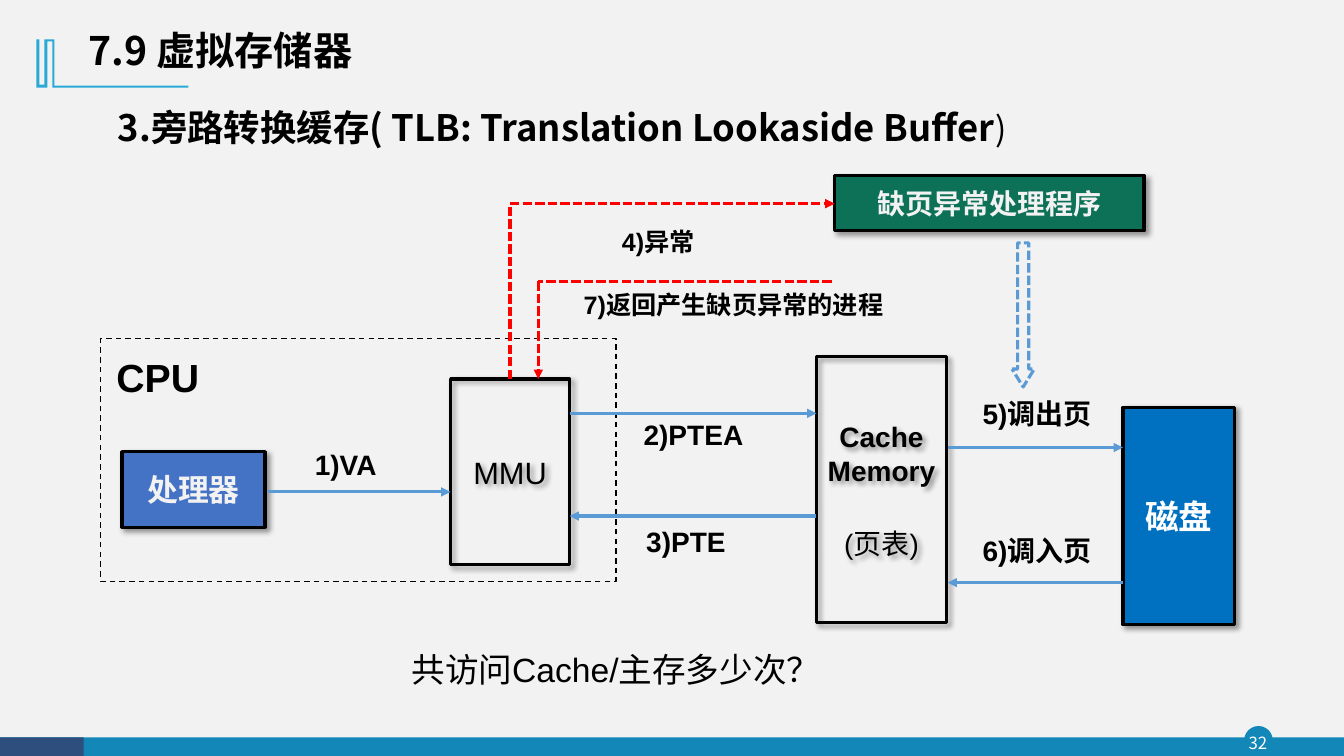
from lxml import etree
from pptx import Presentation
from pptx.dml.color import RGBColor
from pptx.enum.dml import MSO_LINE_DASH_STYLE as Dash
from pptx.enum.shapes import MSO_CONNECTOR_TYPE as Link, MSO_SHAPE as Shape
from pptx.enum.text import MSO_ANCHOR as Anchor, MSO_AUTO_SIZE as AutoSize, PP_ALIGN as Align
from pptx.oxml import parse_xml
from pptx.oxml.ns import nsdecls, qn
from pptx.util import Inches, Pt

COLORS = {
    "paper": "F2F2F2", "ink": "000000", "white": "FFFFFF",
    "teal": "1387B7", "navy": "2E4E7E", "sky": "28A9D6",
    "processor": "4472C4", "disk": "0070C0", "handler": "0D7157",
    "flow": "5B9BD5", "fault": "FF0000",
}
LATIN, HAN, HEADING = "Arial", "Noto Sans CJK SC", "Noto Sans CJK JP"
COLUMNS, ROWS = 133.33, 75
CELL = Inches(0.1)


def cells(*counts):
    return [round(count * CELL) for count in counts]


def color(name):
    return RGBColor.from_string(COLORS[name])


class Diagram:
    """Draws on one slide; places are columns and rows of the grid."""

    def __init__(self, slide):
        self.slide = slide
        self.shapes = slide.shapes
        slide.background.fill.solid()
        slide.background.fill.fore_color.rgb = color("paper")

    def run(self, paragraph, text, size=20, ink="ink", bold=True, latin=LATIN, han=HAN):
        run = paragraph.add_run()
        run.text = text
        font = run.font
        font.size, font.bold, font.name = Pt(size), bold, latin
        font.color.rgb = color(ink)
        etree.SubElement(run._r.get_or_add_rPr(), qn("a:ea"), typeface=han)

    def caption(self, frame, text, align=Align.CENTER, anchor=Anchor.TOP, inset=0, **style):
        """Puts one paragraph of text into a frame and returns it."""
        frame.word_wrap, frame.auto_size = True, AutoSize.NONE
        frame.vertical_anchor = anchor
        frame.margin_left = frame.margin_right = Inches(inset)
        frame.margin_top = frame.margin_bottom = Inches(inset / 2)
        paragraph = frame.paragraphs[0]
        paragraph.alignment = align
        self.run(paragraph, text, **style)
        return paragraph

    def title(self, text, place):
        title = self.shapes.title
        title.left, title.top, title.width, title.height = cells(*place)
        paragraph = self.caption(title.text_frame, text, Align.LEFT, Anchor.MIDDLE, 0.1,
                                 size=28, latin=HEADING, han=HEADING)
        paragraph.line_spacing = 0.9

    def label(self, text, place, **style):
        return self.caption(self.shapes.add_textbox(*cells(*place)).text_frame, text, **style)

    def paint(self, shape, fill=None, line=None, width=2.25, dash=None):
        shape.shadow.inherit = False
        if fill:
            shape.fill.solid()
            shape.fill.fore_color.rgb = color(fill)
        else:
            shape.fill.background()
        if line:
            self.stroke(shape.line, line, width, dash)
        else:
            shape.line.fill.background()

    def stroke(self, line, ink, width=2.25, dash=None):
        line.color.rgb = color(ink)
        line.width = Pt(width)
        if dash:
            line.dash_style = dash

    def block(self, place, kind=Shape.RECTANGLE, **look):
        block = self.shapes.add_shape(kind, *cells(*place))
        self.paint(block, **look)
        return block

    def unit(self, text, place, fill=None, **style):
        """Draws a hardware or software unit: outlined, shadowed, captioned."""
        unit = self.block(place, fill=fill, line="ink")
        effects = unit._element.spPr.find(qn("a:effectLst"))
        effects.append(parse_xml(
            f'<a:outerShdw {nsdecls("a")} blurRad="{Pt(4)}" dist="{Pt(3)}" dir="2700000" '
            f'algn="tl" rotWithShape="0"><a:srgbClr val="{COLORS["ink"]}">'
            '<a:alpha val="40000"/></a:srgbClr></a:outerShdw>'))
        self.caption(unit.text_frame, text, anchor=Anchor.MIDDLE, **style)
        return unit

    def route(self, *stops, ink="flow", dash=None):
        """Joins the stops with straight lines, with an arrowhead at the last."""
        for start, end in zip(stops, stops[1:]):
            leg = self.shapes.add_connector(Link.STRAIGHT, *cells(*start, *end))
            self.stroke(leg.line, ink, dash=dash)
            etree.SubElement(leg._element.spPr, qn("a:effectLst"))
        head = leg._element.spPr.find(qn("a:ln"))
        etree.SubElement(head, qn("a:tailEnd"), type="triangle")

    def outline(self, points, fill):
        start, *others = [cells(*point) for point in points]
        builder = self.shapes.build_freeform(*start)
        builder.add_line_segments(others, close=True)
        self.paint(builder.convert_to_shape(), fill=fill)


def draw_frame(diagram):
    diagram.block((123.5, 72.1, 2.7, 2.7), Shape.OVAL, fill="teal", line="teal", width=1)
    footer_top = 73.15
    for width, fill in ((COLUMNS, "teal"), (8.3, "navy")):
        diagram.block((0, footer_top, width, ROWS - footer_top), fill=fill)
    diagram.label("32", (123.2, 72.1, 3.2, 3.1), anchor=Anchor.MIDDLE,
                  size=12, ink="white", bold=False, latin=HAN)
    diagram.outline([(5.4, 3.9), (5.4, 8.5), (18.7, 8.5), (18.7, 8.7), (5.2, 8.7),
                     (5.2, 4.1), (4.7, 4.1), (4.7, 8.7), (3.6, 8.7), (3.6, 3.9),
                     (3.9, 3.9), (3.9, 8.4), (4.4, 8.4), (4.4, 3.9)], "sky")
    diagram.title("7.9 虚拟存储器", (7.8, 1.8, 55.6, 6.8))
    topic = diagram.label("3.旁路转换缓存( TLB: Translation Lookaside Buffer",
                          (10.7, 9.9, 103.4, 5.4), align=Align.LEFT, inset=0.1,
                          size=26, latin=HEADING, han=HEADING)
    diagram.run(topic, ")", size=24, bold=False, latin=HAN)


def draw_units(diagram):
    diagram.block((10, 33.6, 51.1, 24.1), line="ink", width=1, dash=Dash.DASH)
    diagram.label("CPU", (8.4, 35.1, 14.5, 4.3), size=28)
    diagram.unit("MMU", (44.7, 37.6, 11.8, 18.4), size=22, bold=False)
    diagram.unit("处理器", (12.1, 44.8, 14.2, 7.5), "processor", size=22, ink="paper")
    diagram.unit("磁盘", (111.4, 40.4, 11.1, 21.6), "disk", size=24, ink="white")
    diagram.unit("缺页异常处理程序", (82.8, 17.4, 30.7, 5.5), "handler", ink="paper")
    cache = diagram.unit("Cache", (81, 35.4, 12.9, 26.4)).text_frame
    for text, bold, gap in (("Memory", True, 0), ("(页表)", False, 28)):
        line = cache.add_paragraph()
        line.alignment, line.space_before = Align.CENTER, Pt(gap)
        diagram.run(line, text, bold=bold)


def draw_steps(diagram):
    mmu_right, cache_left, cache_right, disk_left = 56.5, 81, 94, 111.4
    for text, place, start, end, row in (
            ("1)VA", (29.6, 44.4, 9.4, 5.7), 26.6, 44.7, 48.8),
            ("2)PTEA", (63, 41.4, 11.6, 4), mmu_right, cache_left, 41),
            ("3)PTE", (63.8, 52, 8.5, 4), cache_left, mmu_right, 51.2),
            ("5)调出页", (95.2, 39.3, 15.4, 4), cache_right, disk_left, 44.4),
            ("6)调入页", (95.2, 52.9, 15.4, 4), disk_left, cache_right, 57.8)):
        diagram.route((start, row), (end, row))
        diagram.label(text, place)

    mmu_top = 37.6
    diagram.route((50.6, mmu_top), (50.6, 20.2), (82.8, 20.2), ink="fault", dash=Dash.SQUARE_DOT)
    diagram.label("4)异常", (60.6, 22.5, 9.4, 4), size=18)
    diagram.route((82.5, 27.9), (53.4, 27.9), (53.4, mmu_top), ink="fault", dash=Dash.SQUARE_DOT)
    diagram.label("7)返回产生缺页异常的进程", (57.9, 28.7, 32, 3), align=Align.LEFT, size=18)

    swap = diagram.block((100.4, 24.1, 2.2, 14.3), Shape.DOWN_ARROW,
                         line="flow", dash=Dash.SQUARE_DOT)
    swap.adjustments[0], swap.adjustments[1] = 0.5, 0.81
    diagram.label("共访问Cache/主存多少次？", (35.6, 63.9, 51, 5), inset=0.1, size=24, bold=False)


def main():
    deck = Presentation()
    deck.slide_width, deck.slide_height = cells(COLUMNS, ROWS)
    diagram = Diagram(deck.slides.add_slide(deck.slide_layouts.get_by_name("Title Only")))
    draw_frame(diagram)
    draw_units(diagram)
    draw_steps(diagram)
    deck.save("out.pptx")


if __name__ == "__main__":
    main()
